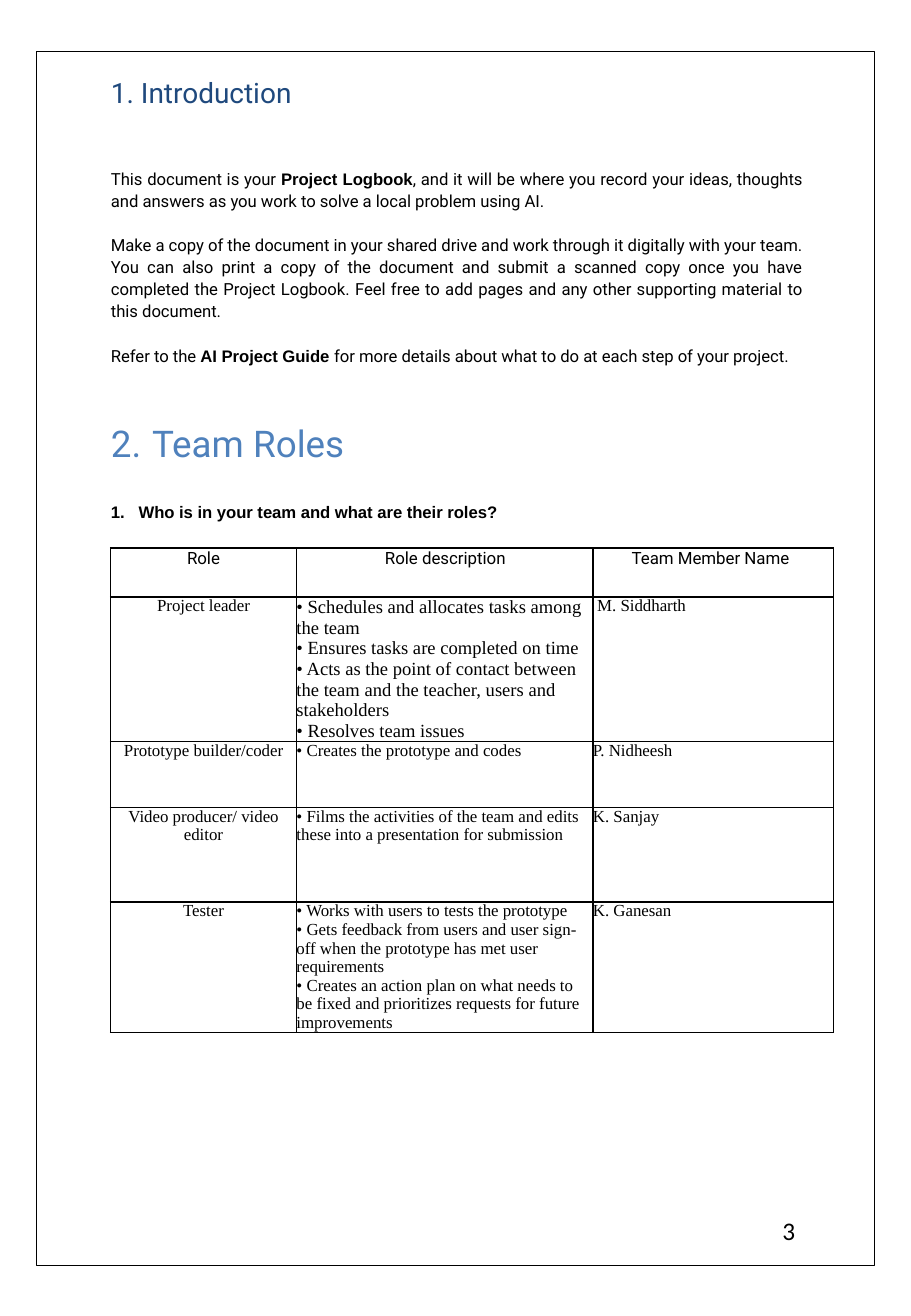
from lxml.etree import SubElement
from pptx import Presentation
from pptx.dml.color import RGBColor
from pptx.enum.shapes import MSO_SHAPE as Shape
from pptx.enum.text import MSO_ANCHOR as Anchor, MSO_AUTO_SIZE as AutoSize, PP_ALIGN as Align
from pptx.oxml.ns import qn
from pptx.util import Cm, Pt

BLACK, NAVY, BLUE = "000000", "1F497D", "4F81BC"
SANS, BOLD_SANS, SERIF = "Roboto", "Arial", "Times New Roman"
LEFT = 2.29

# Each paragraph: line spacing, space before, (text, bold) runs
INTRODUCTION = [
    (1.1, 0.9, [
        ("This document is your ", False),
        ("Project Logbook", True),
        (", and it will be where you record your ideas, thoughts and answers "
         "as you work to solve a local problem using AI.", False)]),
    (1.1, 13.4, [
        ("Make a copy of the document in your shared drive and work through it "
         "digitally with your team. You can also print a copy of the document and "
         "submit a scanned copy once you have completed the Project Logbook. Feel "
         "free to add pages and any other supporting material to this document.", False)]),
    (1.0, 14.5, [
        ("Refer to the ", False),
        ("AI Project Guide ", True),
        ("for more details about what to do at each step of your project.", False)]),
]
# Header text, alignment, left indent
HEADERS = [
    ("Role", Align.CENTER, 0),
    ("Role description", Align.LEFT, 1.85),
    ("Team Member Name", Align.LEFT, 0.81),
]
# Role, description size, description, member
ROLES = [
    ("Project leader", 11, [
        "• Schedules and allocates tasks among the team",
        "• Ensures tasks are completed on time",
        "• Acts as the point of contact between the team and the teacher, "
        "users and stakeholders",
        "• Resolves team issues"], " M. Siddharth"),
    ("Prototype builder/coder", 10, ["• Creates the prototype and codes"], "P. Nidheesh"),
    ("Video producer/ video editor", 10, [
        "• Films the activities of the team and edits these into a presentation "
        "for submission"], "K. Sanjay"),
    ("Tester", 10, [
        "• Works with users to tests the prototype",
        "• Gets feedback from users and user sign-off when the prototype has met "
        "user requirements",
        "• Creates an action plan on what needs to be fixed and prioritizes "
        "requests for future improvements"], "K. Ganesan"),
]
COLUMN_WIDTHS = [3.89, 6.2, 5.03]
ROW_HEIGHTS = [1.02, 3.01, 1.37, 1.98, 2.72]


def rgb(color):
    return RGBColor.from_string(color)


def add_run(para, text, size, font=SANS, color=BLACK, bold=False):
    run = para.add_run()
    run.text = text
    run.font.size, run.font.name, run.font.bold = Pt(size), font, bold
    run.font.color.rgb = rgb(color)


def prepare_frame(shape):
    frame = shape.text_frame
    frame.word_wrap, frame.auto_size = True, AutoSize.NONE
    frame.vertical_anchor = Anchor.TOP
    frame.margin_left = frame.margin_right = frame.margin_bottom = 0
    frame.margin_top = Cm(0.03)
    return frame


def add_box(page, *place):
    return prepare_frame(page.shapes.add_textbox(*map(Cm, place)))


def next_para(frame, index):
    return frame.add_paragraph() if index else frame.paragraphs[0]


def indent(para, left, first=0):
    properties = para._p.get_or_add_pPr()
    properties.set("marL", str(Cm(left)))
    properties.set("indent", str(Cm(first)))
    return properties


def number(para, start, left):
    """Give the paragraph an automatic number with a hanging indent."""
    numbering = SubElement(indent(para, left, 0.03 - left), qn("a:buAutoNum"))
    numbering.set("type", "arabicPeriod")
    if start > 1:
        numbering.set("startAt", str(start))


def add_borders(cell):
    properties = cell._tc.get_or_add_tcPr()
    for position, side in enumerate(("lnL", "lnR", "lnT", "lnB")):
        line = SubElement(properties, qn(f"a:{side}"), w=str(Pt(1)))
        fill = SubElement(line, qn("a:solidFill"))
        SubElement(fill, qn("a:srgbClr"), val=BLACK)
        properties.insert(position, line)


def fill_cell(cell, lines, size=10, font=SERIF, align=Align.LEFT):
    cell.margin_left = cell.margin_right = cell.margin_top = cell.margin_bottom = 0
    cell.fill.background()
    add_borders(cell)
    for index, text in enumerate(lines):
        para = next_para(cell.text_frame, index)
        para.alignment = align
        add_run(para, text, size, font)


def add_page_frame(page):
    frame = page.shapes.add_shape(Shape.RECTANGLE, Cm(0.77), Cm(1.07), Cm(17.51), Cm(25.38))
    frame.shadow.inherit = False
    frame.fill.background()
    frame.line.color.rgb = rgb(BLACK)
    frame.line.width = Pt(0.5)


def add_title(page):
    title = page.shapes.title
    title.left, title.top, title.width, title.height = map(Cm, (LEFT, 1.55, 7.19, 1.02))
    para = prepare_frame(title).paragraphs[0]
    para.alignment, para.space_before = Align.LEFT, Pt(0.9)
    indent(para, 0.03)
    add_run(para, "1. Introduction", 16.6, color=NAVY)


def add_introduction(page):
    frame = add_box(page, LEFT, 3.45, 14.5, 4.27)
    for index, (spacing, before, runs) in enumerate(INTRODUCTION):
        para = next_para(frame, index)
        para.alignment, para.line_spacing = Align.JUSTIFY, spacing
        para.space_before = Pt(before)
        indent(para, 0.03)
        for text, bold in runs:
            add_run(para, text, 9.9, BOLD_SANS if bold else SANS, bold=bold)


def add_team_heading(page):
    frame = add_box(page, LEFT, 8.76, 8.26, 2.18)
    heading, question = frame.paragraphs[0], frame.add_paragraph()
    question.level = 1
    heading.space_before, question.space_before = Pt(0.9), Pt(21.9)
    number(heading, 2, 0.89)
    number(question, 1, 0.61)
    add_run(heading, "Team Roles", 21.8, color=BLUE)
    add_run(question, "Who is in your team and what are their roles?", 9.9, BOLD_SANS, bold=True)


def add_roles_table(page):
    graphic = page.shapes.add_table(
        len(ROW_HEIGHTS), len(COLUMN_WIDTHS), Cm(2.31), Cm(11.46),
        Cm(sum(COLUMN_WIDTHS)), Cm(sum(ROW_HEIGHTS)))
    table = graphic.table
    table.first_row = table.horz_banding = False
    for column, width in zip(table.columns, COLUMN_WIDTHS):
        column.width = Cm(width)
    for row, height in zip(table.rows, ROW_HEIGHTS):
        row.height = Cm(height)
    for column, (text, align, left) in enumerate(HEADERS):
        cell = table.cell(0, column)
        fill_cell(cell, [text], font=SANS, align=align)
        para = cell.text_frame.paragraphs[0]
        para.line_spacing = Pt(12.1)
        indent(para, left)
    for row, (role, size, description, member) in enumerate(ROLES, start=1):
        fill_cell(table.cell(row, 0), [role], align=Align.CENTER)
        fill_cell(table.cell(row, 1), description, size)
        fill_cell(table.cell(row, 2), [member])


def add_page_number(page):
    para = add_box(page, 16.33, 25.37, 0.56, 0.48).paragraphs[0]
    indent(para, 0.03)
    add_run(para, "3", 15, "Calibri")


def main():
    deck = Presentation()
    deck.slide_width, deck.slide_height = Cm(19.05), Cm(27.51)
    page = deck.slides.add_slide(deck.slide_layouts[5])
    add_page_frame(page)
    add_title(page)
    add_introduction(page)
    add_team_heading(page)
    add_roles_table(page)
    add_page_number(page)
    deck.save("out.pptx")


if __name__ == "__main__":
    main()
